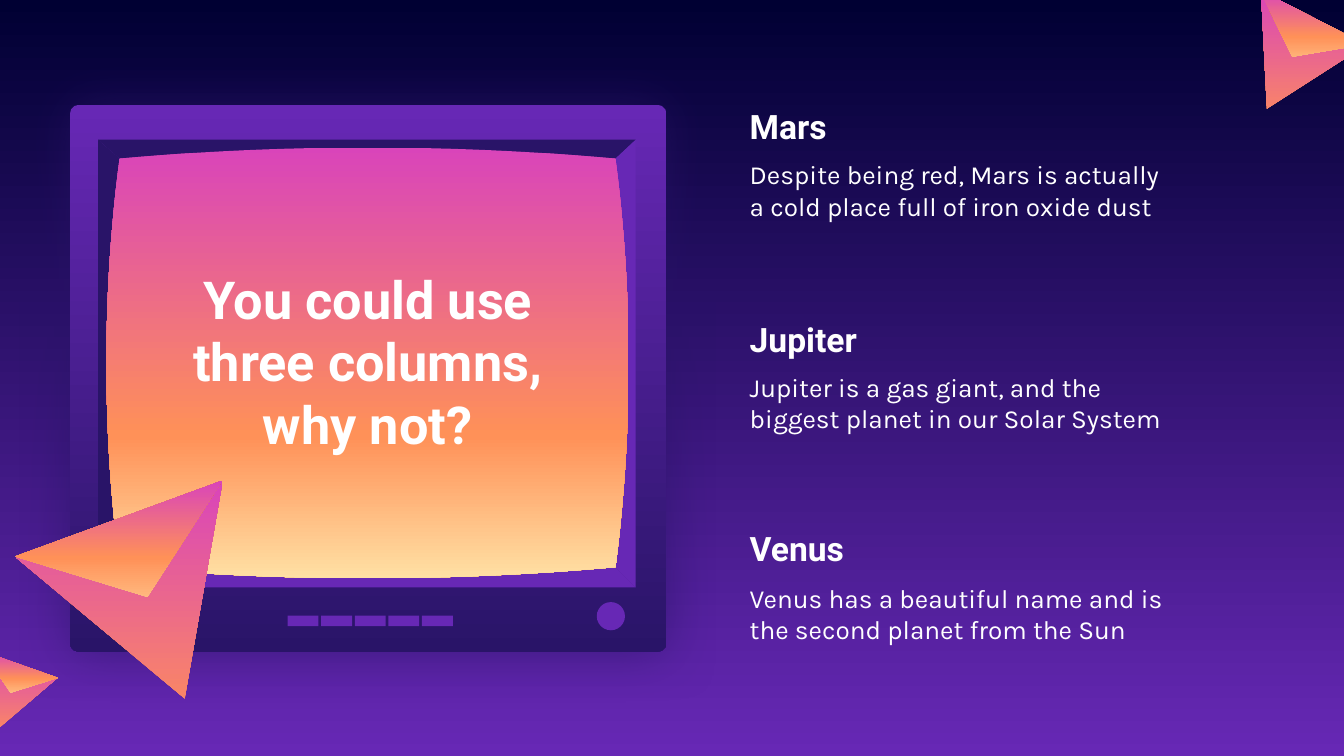
from copy import deepcopy
from lxml import etree
from pptx import Presentation
from pptx.dml.color import RGBColor
from pptx.enum.shapes import MSO_SHAPE as Kind
from pptx.enum.text import MSO_ANCHOR as Anchor, PP_ALIGN as Align
from pptx.oxml.ns import qn
from pptx.util import Inches, Pt

NAVY = RGBColor(0x00, 0x00, 0x33)
DARK = RGBColor(0x29, 0x14, 0x68)
PURPLE = RGBColor(0x67, 0x28, 0xB5)
PINK = RGBColor(0xD9, 0x44, 0xBA)
ORANGE = RGBColor(0xFF, 0x91, 0x58)
CREAM = RGBColor(0xFF, 0xE0, 0xA4)
WHITE = RGBColor(0xFF, 0xFF, 0xFF)

prs = Presentation()
prs.slide_width = Inches(10)
prs.slide_height = prs.slide_width * 9 // 16
slide = prs.slides.add_slide(prs.slide_layouts[6])
shapes = slide.shapes


def blend(fill, *stops, angle=270):
    """Fill with (position, colour) stops, from top to bottom by default."""
    fill.gradient()
    fill.gradient_angle = angle
    for _ in stops[2:]:
        first = fill.gradient_stops[0]._gs
        first.addnext(deepcopy(first))
    for stop, (pos, color) in zip(fill.gradient_stops, stops):
        stop.position = pos
        stop.color.rgb = color


def outline(points):
    """Draw a closed outline through points given in inches."""
    spots = [(Inches(x), Inches(y)) for x, y in points]
    pen = shapes.build_freeform(*spots[0], scale=1.0)
    pen.add_line_segments(spots[1:], close=True)
    return pen.convert_to_shape()


# Background
blend(slide.background.fill, (0, NAVY), (1, PURPLE))

# Television body
body = shapes.add_shape(Kind.ROUNDED_RECTANGLE, Inches(0.52), Inches(0.78),
                        Inches(4.44), Inches(4.07))
body.adjustments[0] = 0.017
blend(body.fill, (0, PURPLE), (1, DARK))

# Knob and buttons
parts = [(Kind.OVAL, 4.44, 4.48, 0.21, 0.21)]
parts += [(Kind.RECTANGLE, 2.14 + 0.25 * i, 4.58, 0.23, 0.08) for i in range(5)]
for kind, *box in parts:
    part = shapes.add_shape(kind, *map(Inches, box))
    part.fill.solid()
    part.fill.fore_color.rgb = PURPLE

# Bevel, clockwise from the top side
outer = [(0.73, 1.04), (4.73, 1.04), (4.73, 4.37), (0.73, 4.37)]
inner = [(0.89, 1.18), (4.58, 1.18), (4.58, 4.22), (0.89, 4.22)]
for i, color in enumerate([DARK, PURPLE, PURPLE, DARK]):
    j = (i + 1) % 4
    side = outline([outer[i], outer[j], inner[j], inner[i]])
    side.fill.solid()
    side.fill.fore_color.rgb = color

# Bulging screen: each side is a cubic curve between two inner corners
pulls = [[(2.12, 1.07), (3.35, 1.07)], [(4.75, 2.19), (4.75, 3.21)],
         [(3.35, 4.33), (2.12, 4.33)], [(0.72, 3.21), (0.72, 2.19)]]
pulls[1] = [(4.75, 2.19), (4.75, 3.21)]
pulls[3] = [(0.76, 3.21), (0.76, 2.19)]
pulls[1] = [(4.71, 2.19), (4.71, 3.21)]
curve = []
for i, (near, far) in enumerate(pulls):
    start, end = inner[i], inner[(i + 1) % 4]
    for step in range(24):
        t = step / 24
        u = 1 - t
        curve.append([u**3 * a + 3 * u * u * t * b + 3 * u * t * t * c + t**3 * d
                      for a, b, c, d in zip(start, near, far, end)])
screen = outline(curve)
blend(screen.fill, (0, PINK), (0.67, ORANGE), (1, CREAM))

# Title and planets: box, anchor, text, size, font
texts = [((0.98, 1.89, 3.51, 1.59), Anchor.MIDDLE,
          "You could use three columns, why not?", 28, "Roboto")]
planets = [
    (0.75, 1.08, 0.81, "Mars",
     "Despite being red, Mars is actually a cold place full of iron oxide dust"),
    (2.33, 2.66, 0.72, "Jupiter",
     "Jupiter is a gas giant, and the biggest planet in our Solar System"),
    (3.89, 4.23, 0.72, "Venus",
     "Venus has a beautiful name and is the second planet from the Sun"),
]
for top, below, tall, name, about in planets:
    texts.append(((5.48, top, 3.35, 0.44), Anchor.BOTTOM, name, 18, "Roboto"))
    texts.append(((5.48, below, 3.35, tall), Anchor.TOP, about, 14, "Karla"))
for box, anchor, words, size, face in texts:
    frame = shapes.add_textbox(*map(Inches, box)).text_frame
    frame.word_wrap = True
    frame.vertical_anchor = anchor
    frame.margin_left = frame.margin_right = Inches(0.1)
    frame.margin_top = frame.margin_bottom = Inches(0.1)
    para = frame.paragraphs[0]
    para.alignment = Align.CENTER if anchor == Anchor.MIDDLE else Align.LEFT
    run = para.add_run()
    run.text = words
    run.font.name = face
    run.font.size = Pt(size)
    run.font.bold = face == "Roboto"
    run.font.color.rgb = WHITE

# Pyramids: turn, large face, small face; colours stay upright on the slide
pyramids = [
    (159.9, (0.31, 3.82, 1.64, 1.42), (0.17, 3.84, 1.64, 0.62)),
    (199.4, (-0.23, 4.93, 0.59, 0.51), (-0.18, 4.94, 0.59, 0.22)),
    (207.2, (9.16, 0.09, 0.88, 0.76), (9.25, 0.11, 0.88, 0.33)),
]
for turn, large, small in pyramids:
    for box, stops in [(large, [(0, ORANGE), (1, PINK)]),
                       (small, [(0, CREAM), (0.5, ORANGE), (1, PINK)])]:
        face = shapes.add_shape(Kind.ISOSCELES_TRIANGLE, *map(Inches, box))
        face.rotation = turn
        blend(face.fill, *stops, angle=90 + turn)

# No edges or shadows, except the glow around the body
for shape in shapes:
    shape.line.fill.background()
    shape.shadow.inherit = False
effects = body._element.spPr.find(qn("a:effectLst"))
glow = etree.SubElement(effects, qn("a:outerShdw"), blurRad=str(Pt(28.1)),
                        dist="0", dir="0", algn="ctr", rotWithShape="0")
tint = etree.SubElement(glow, qn("a:srgbClr"), val=str(DARK))
etree.SubElement(tint, qn("a:alpha"), val="63000")

prs.save("out.pptx")
